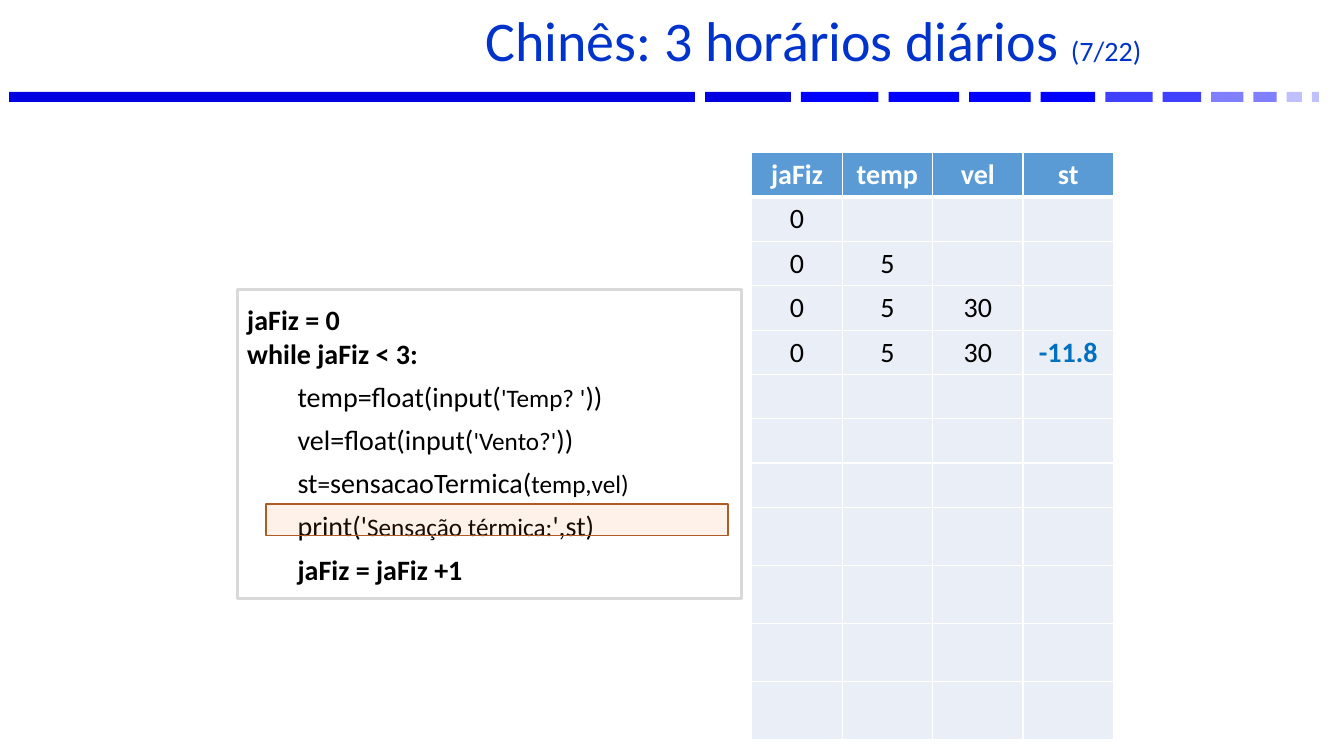
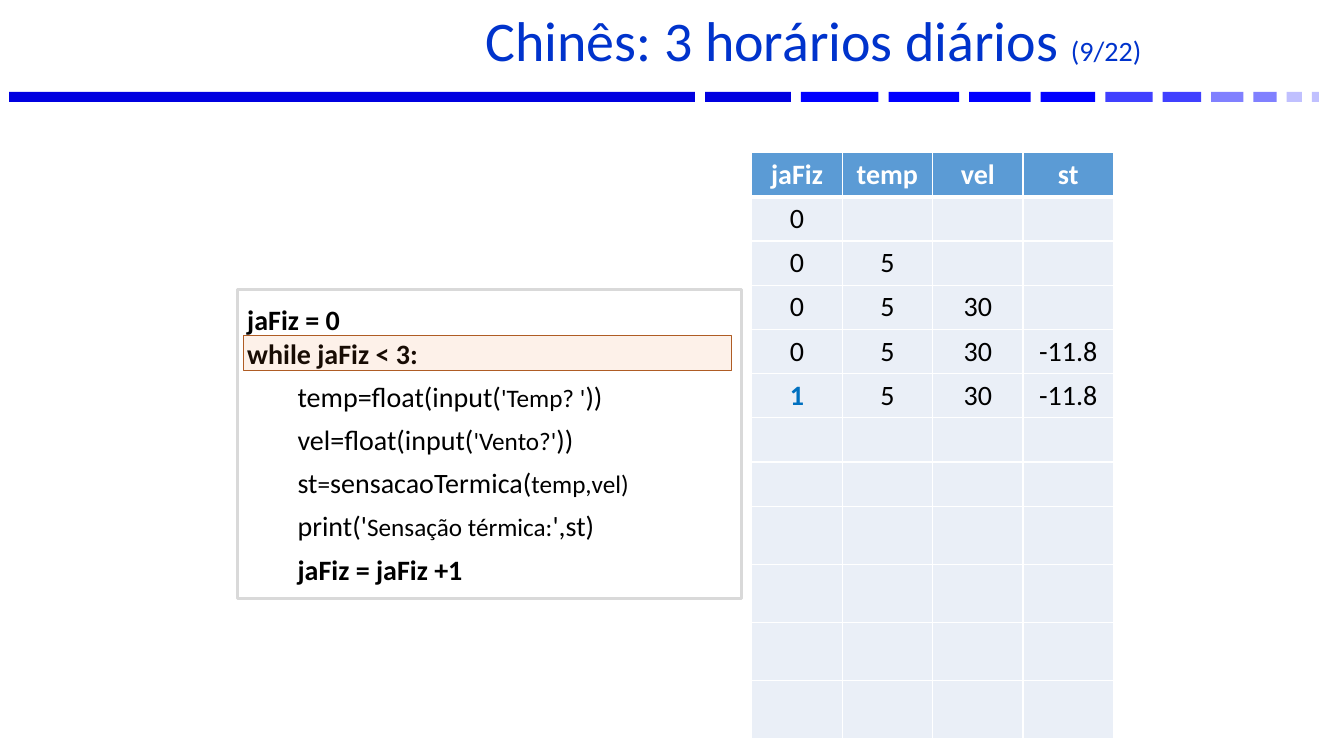
from lxml.etree import SubElement
from pptx import Presentation
from pptx.dml.color import RGBColor
from pptx.enum.shapes import MSO_SHAPE
from pptx.enum.text import MSO_ANCHOR, PP_ALIGN
from pptx.oxml import parse_xml
from pptx.oxml.ns import nsdecls, qn
from pptx.util import Pt

FONT = "Calibri"
WHITE = RGBColor(0xFF, 0xFF, 0xFF)
BLACK = RGBColor(0x00, 0x00, 0x00)
TITLE_BLUE = RGBColor(0x00, 0x33, 0xCC)
BAND_DARK = RGBColor(0x00, 0x00, 0xE0)
BAND_BLUE = RGBColor(0x00, 0x00, 0xFF)
BAND_MEDIUM = RGBColor(0x40, 0x40, 0xFF)
BAND_LIGHT = RGBColor(0x80, 0x80, 0xFF)
BAND_PALE = RGBColor(0xC0, 0xC0, 0xFF)
HEADER_BLUE = RGBColor(0x5B, 0x9B, 0xD5)
CELL_BLUE = RGBColor(0xEA, 0xEF, 0xF7)
NEW_VALUE_BLUE = RGBColor(0x00, 0x70, 0xC0)
FRAME_GRAY = RGBColor(0xD9, 0xD9, 0xD9)
MARKER_ORANGE = RGBColor(0xED, 0x7D, 0x31)
MARKER_BROWN = RGBColor(0xAF, 0x5C, 0x24)

BAND_LEFT, BAND_TOP, BAND_HEIGHT, BAND_GAP = 6.5, 65.6, 7.2, 7.2
BAND_SEGMENTS = [
    (490, BAND_DARK), (61.2, BAND_DARK),
    (55.4, BAND_BLUE), (50.4, BAND_BLUE), (43.9, BAND_BLUE), (38.9, BAND_BLUE),
    (33.8, BAND_MEDIUM), (27.4, BAND_MEDIUM),
    (23, BAND_LIGHT), (16.6, BAND_LIGHT),
    (10.8, BAND_PALE), (5, BAND_PALE),
]

CODE_LINES = [
    (0, True, [("jaFiz = 0", 20)]),
    (0, True, [("while jaFiz < 3:", 20)]),
    (1, False, [("temp=float(input(", 20), ("'Temp? '", 18), ("))", 20)]),
    (1, False, [("vel=float(input(", 20), ("'Vento?'", 18), ("))", 20)]),
    (1, False, [("st", 20), ("=", 18), ("sensacaoTermica(", 20), ("temp,vel)", 18)]),
    (1, False, [("print('", 20), ("Sensação térmica:", 18), ("',st)", 20)]),
    (1, True, [("jaFiz = jaFiz +1", 20)]),
]
CODE_FRAME = {"word_wrap": True, "vertical_anchor": MSO_ANCHOR.MIDDLE,
              "margin_left": Pt(7.2), "margin_right": Pt(7.2),
              "margin_top": 0, "margin_bottom": 0}
TITLE_FRAME = {"word_wrap": True, "vertical_anchor": MSO_ANCHOR.MIDDLE}
CODE_LEVELS = [
    {"alignment": PP_ALIGN.LEFT},
    {"alignment": PP_ALIGN.LEFT, "level": 1, "line_spacing": 1.2, "space_before": Pt(2)},
]

VARIABLES = ["jaFiz", "temp", "vel", "st"]
ROW_HEIGHTS = [31.6] * 8 + [41.5] * 4
FIRST_PASS = [["0"], ["0", "5"], ["0", "5", "30"], ["0", "5", "30", "-11.8"]]
SECOND_PASS = FIRST_PASS + [["1", "5", "30", "-11.8"]]

STEPS = [
    {"page": "(7/22)", "trace": FIRST_PASS, "new_value": (4, 3),
     "marker": (190, 360, 330, 22.5)},
    {"page": "(9/22)", "trace": SECOND_PASS, "new_value": (5, 0),
     "marker": (174, 239.5, 348.5, 25)},
]


def apply_format(target, formats):
    for name, value in formats.items():
        setattr(target, name, value)


def add_run(paragraph, text, size, color, bold=False):
    run = paragraph.add_run()
    run.text = text
    apply_format(run.font, {"name": FONT, "size": Pt(size), "bold": bold})
    run.font.color.rgb = color


def add_box(slide, area, fill, line=None, line_width=1):
    box = slide.shapes.add_shape(MSO_SHAPE.RECTANGLE, *map(Pt, area))
    box.shadow.inherit = False
    box.fill.solid()
    box.fill.fore_color.rgb = fill
    if line is None:
        box.line.fill.background()
    else:
        box.line.color.rgb = line
        box.line.width = Pt(line_width)
    return box


def add_band(slide):
    left = BAND_LEFT
    for width, color in BAND_SEGMENTS:
        add_box(slide, (left, BAND_TOP, width, BAND_HEIGHT), color)
        left += width + BAND_GAP


def add_title(slide, page):
    title = slide.shapes.add_textbox(Pt(202), Pt(7.3), Pt(758), Pt(50.4))
    apply_format(title.text_frame, TITLE_FRAME)
    heading = title.text_frame.paragraphs[0]
    apply_format(heading, {"alignment": PP_ALIGN.CENTER, "line_spacing": 0.8})
    add_run(heading, "Chinês: 3 horários diários ", 40, TITLE_BLUE)
    add_run(heading, page, 20, TITLE_BLUE)


def add_borders(cell, widths):
    properties = cell._tc.get_or_add_tcPr()
    for position, (side, width) in enumerate(widths.items()):
        properties.insert(position, parse_xml(
            f'<a:{side} {nsdecls("a")} w="{int(Pt(width))}"><a:solidFill>'
            f'<a:srgbClr val="{WHITE}"/></a:solidFill></a:{side}>'))


def format_cell(cell, row, text, color):
    cell.fill.solid()
    cell.fill.fore_color.rgb = CELL_BLUE if row else HEADER_BLUE
    cell.vertical_anchor = MSO_ANCHOR.MIDDLE
    add_borders(cell, {"lnL": 1, "lnR": 1, "lnT": 3 if row == 1 else 1,
                       "lnB": 1 if row else 3})
    if text:
        value = cell.text_frame.paragraphs[0]
        value.alignment = PP_ALIGN.CENTER
        add_run(value, text, 20, color, bold=color != BLACK)


def add_trace_table(slide, trace, new_value):
    table = slide.shapes.add_table(
        len(ROW_HEIGHTS), len(VARIABLES),
        Pt(537), Pt(109), Pt(258.4), Pt(sum(ROW_HEIGHTS))).table
    table.horz_banding = False
    for column in table.columns:
        column.width = Pt(64.6)
    rows = [VARIABLES] + trace
    for row, height in enumerate(ROW_HEIGHTS):
        table.rows[row].height = Pt(height)
        values = rows[row] if row < len(rows) else []
        for column in range(len(VARIABLES)):
            text = values[column] if column < len(values) else ""
            color = BLACK if row else WHITE
            if (row, column) == new_value:
                color = NEW_VALUE_BLUE
            format_cell(table.cell(row, column), row, text, color)


def add_code(slide):
    code = add_box(slide, (169.5, 206.8, 360, 221), WHITE, FRAME_GRAY, 2)
    frame = code.text_frame
    apply_format(frame, CODE_FRAME)
    for index, (level, bold, pieces) in enumerate(CODE_LINES):
        line = frame.add_paragraph() if index else frame.paragraphs[0]
        apply_format(line, CODE_LEVELS[level])
        indent = line._p.get_or_add_pPr()
        indent.set("marL", str(int(Pt(36 * level))))
        indent.set("indent", "0")
        for text, size in pieces:
            add_run(line, text, size, BLACK, bold)


def add_marker(slide, area):
    marker = add_box(slide, area, MARKER_ORANGE, MARKER_BROWN)
    color = marker.fill._xPr.find(qn("a:solidFill"))[0]
    SubElement(color, qn("a:alpha")).set("val", "10000")


def main():
    deck = Presentation()
    apply_format(deck, {"slide_width": Pt(960), "slide_height": Pt(540)})
    for step in STEPS:
        slide = deck.slides.add_slide(deck.slide_layouts[6])
        add_band(slide)
        add_trace_table(slide, step["trace"], step["new_value"])
        add_title(slide, step["page"])
        add_code(slide)
        add_marker(slide, step["marker"])
    deck.save("out.pptx")


if __name__ == "__main__":
    main()
